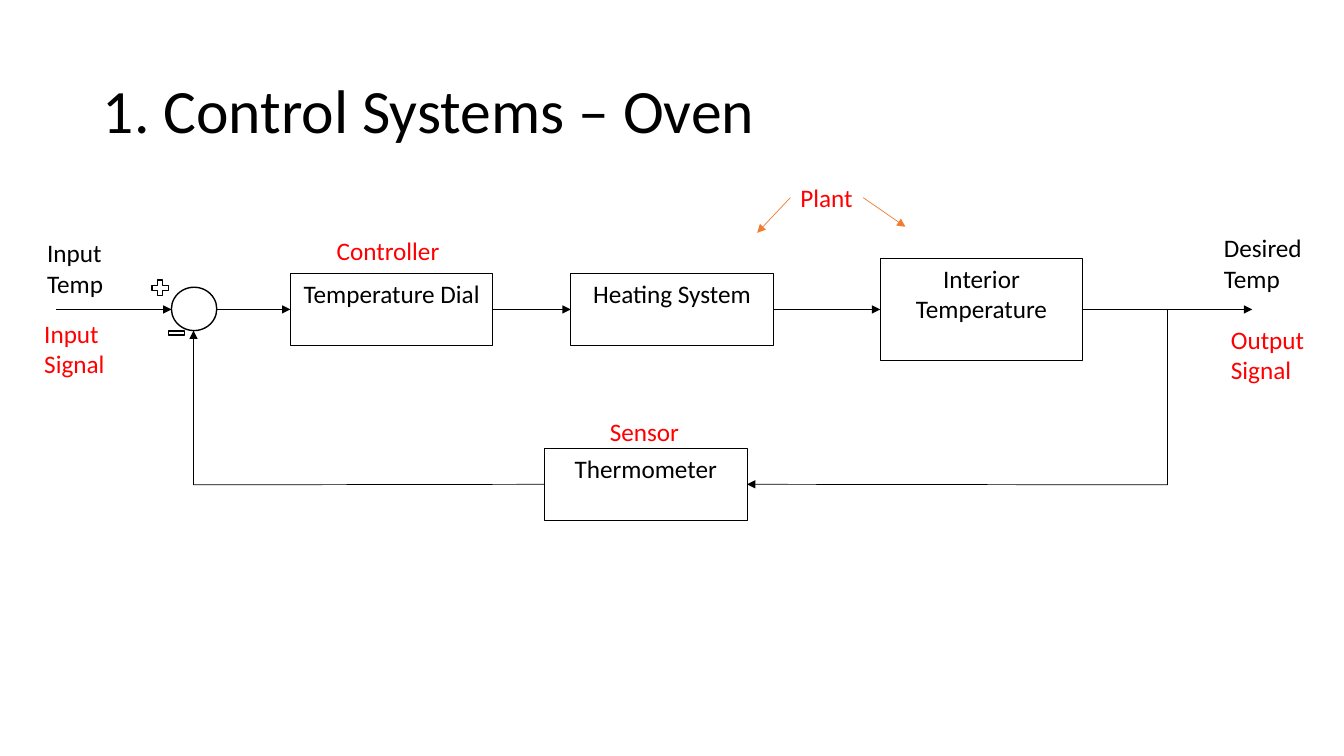
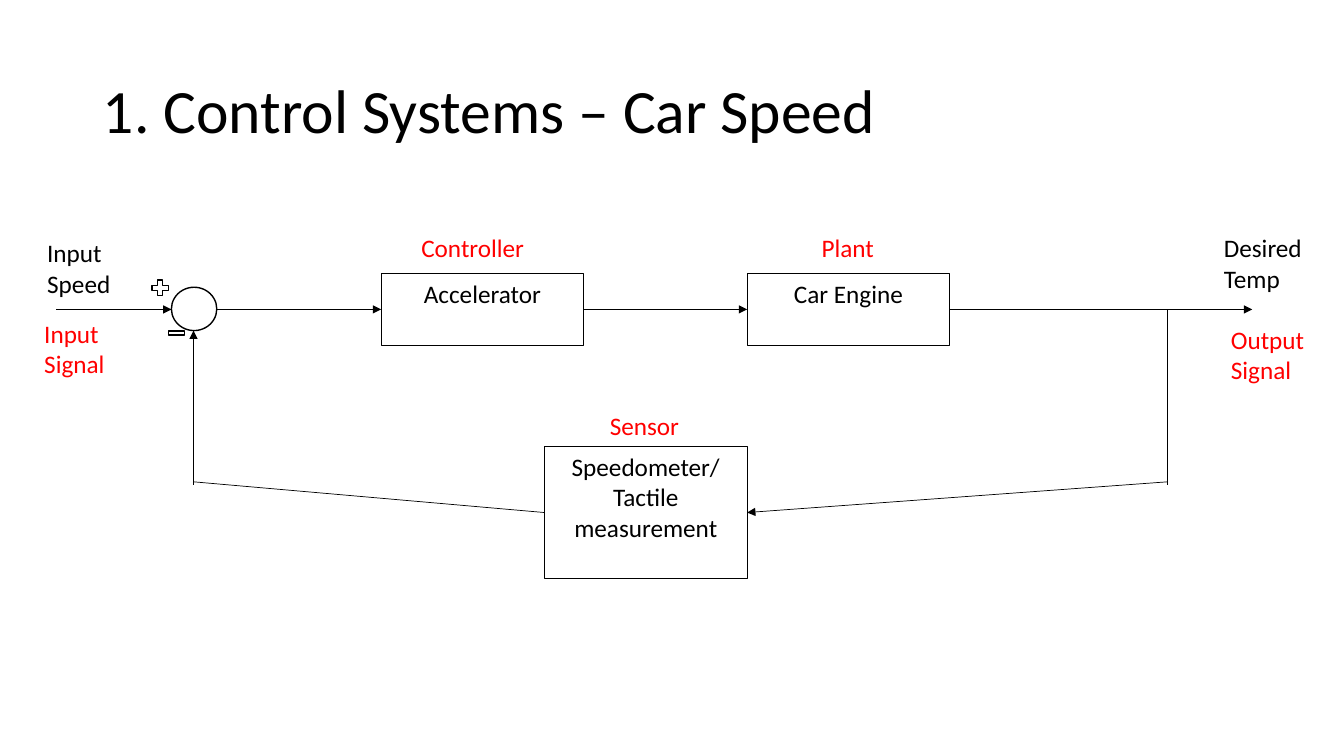
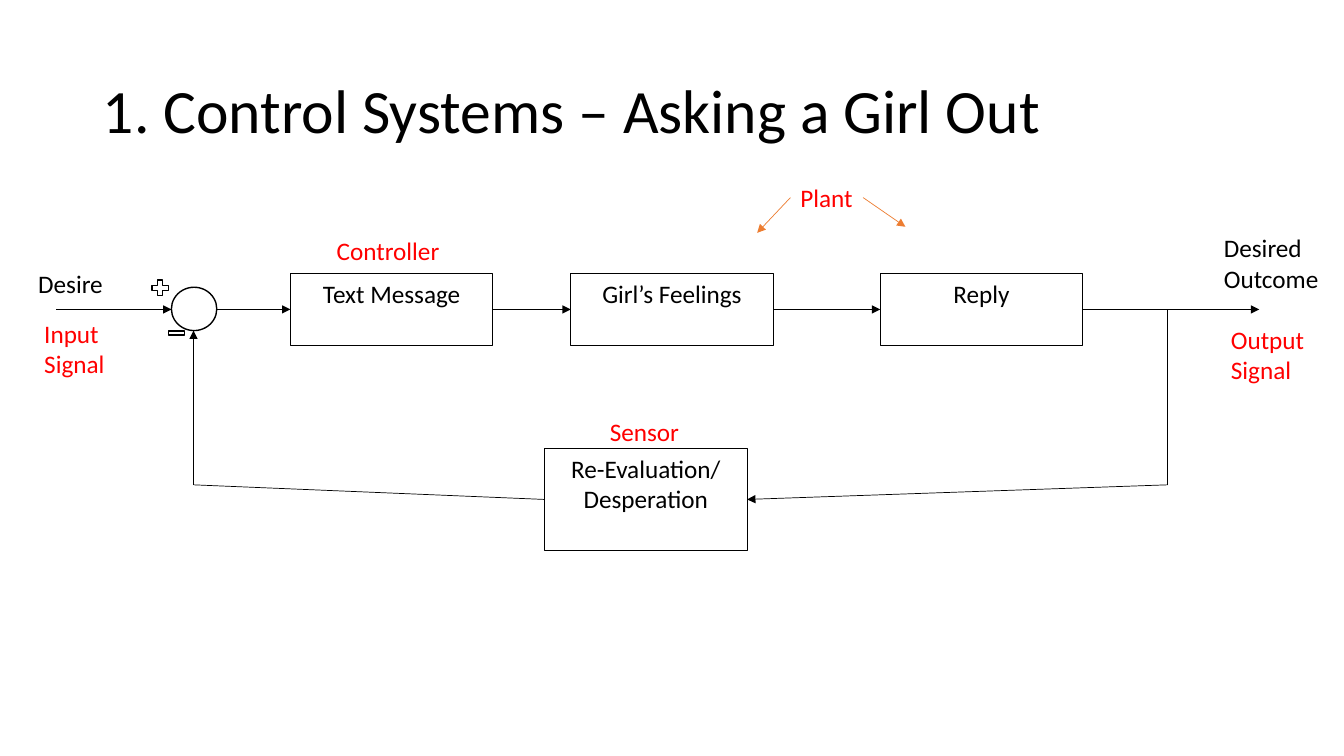
from lxml.etree import SubElement
from pptx import Presentation
from pptx.dml.color import RGBColor
from pptx.enum.shapes import MSO_CONNECTOR, MSO_SHAPE
from pptx.enum.text import MSO_ANCHOR, MSO_AUTO_SIZE, PP_ALIGN
from pptx.oxml.ns import qn
from pptx.util import Inches, Pt

BLACK, WHITE, RED, ORANGE = "000000", "FFFFFF", "FF0000", "ED7D31"

# Shared geometry of the control loop, in inches
SIGNAL_Y = 3.07
BLOCK_WIDTH = 2.01
SENSOR_LEFT = 5.4
SUM_LEFT, SUM_TOP, SUM_WIDTH, SUM_HEIGHT = 1.7, 2.85, 0.45, 0.43
SUM_X = 1.92
BRANCH_X = 11.58
CORNER_Y = 4.81


def color(value):
    return RGBColor.from_string(value)


def style(target, values):
    for name, value in values.items():
        setattr(target, name, value)


def text_height(rows):
    return round(0.1 + 0.303 * rows, 2)


class Diagram:
    """Holds the deck, its style and the current page."""

    title_font = {"name": "Calibri", "size": Pt(44)}
    body_font = {"name": "Calibri", "size": Pt(18)}
    title_place = {"left": Inches(0.92), "top": Inches(0.4),
                   "width": Inches(11.5), "height": Inches(1.45)}
    title_frame = {"word_wrap": True, "auto_size": MSO_AUTO_SIZE.NONE,
                   "vertical_anchor": MSO_ANCHOR.MIDDLE}
    block_frame = {"word_wrap": True, "auto_size": MSO_AUTO_SIZE.NONE,
                   "vertical_anchor": MSO_ANCHOR.TOP}

    def __init__(self):
        self.deck = Presentation()
        style(self.deck, {"slide_width": Inches(13.33), "slide_height": Inches(7.5)})
        self.page = None

    def add_text(self, frame, text, font, ink=BLACK, **layout):
        for index, line in enumerate(text.split("\n")):
            para = frame.paragraphs[0] if index == 0 else frame.add_paragraph()
            style(para, layout)
            span = para.add_run()
            span.text = line
            style(span.font, font)
            span.font.color.rgb = color(ink)

    def new_page(self, title):
        self.page = self.deck.slides.add_slide(self.deck.slide_layouts[5])
        box = self.page.shapes.title
        style(box, self.title_place)
        style(box.text_frame, self.title_frame)
        self.add_text(box.text_frame, title, self.title_font,
                      alignment=PP_ALIGN.LEFT, line_spacing=0.9)

    def shape(self, kind, left, top, width, height, weight=1, fill=WHITE):
        box = self.page.shapes.add_shape(
            kind, Inches(left), Inches(top), Inches(width), Inches(height))
        box.shadow.inherit = False
        if fill:
            box.fill.solid()
            box.fill.fore_color.rgb = color(fill)
        else:
            box.fill.background()
        box.line.color.rgb = color(BLACK)
        box.line.width = Pt(weight)
        return box

    def block(self, text, left, top, height):
        box = self.shape(MSO_SHAPE.RECTANGLE, left, top, BLOCK_WIDTH, height,
                         weight=0.75, fill=None)
        style(box.text_frame, self.block_frame)
        self.add_text(box.text_frame, text, self.body_font, alignment=PP_ALIGN.CENTER)

    def label(self, text, left, top, width, ink=RED, wrap=False):
        height = text_height(len(text.split("\n")))
        box = self.page.shapes.add_textbox(
            Inches(left), Inches(top), Inches(width), Inches(height))
        style(box.text_frame, {"word_wrap": wrap,
                               "auto_size": MSO_AUTO_SIZE.SHAPE_TO_FIT_TEXT})
        self.add_text(box.text_frame, text, self.body_font, ink)

    def line(self, start, end, ink=BLACK, arrow=True):
        points = [Inches(value) for value in (*start, *end)]
        connector = self.page.shapes.add_connector(MSO_CONNECTOR.STRAIGHT, *points)
        connector.line.color.rgb = color(ink)
        connector.line.width = Pt(0.5)
        properties = connector.element.spPr
        if arrow:
            SubElement(properties.find(qn("a:ln")), qn("a:tailEnd"), type="triangle")
        SubElement(properties, qn("a:effectLst"))

    def control_loop(self, blocks, sensor, sensor_top, sensor_rows,
                     corner_y=CORNER_Y, output_end=12.42):
        # Summing point
        self.shape(MSO_SHAPE.OVAL, SUM_LEFT, SUM_TOP, SUM_WIDTH, SUM_HEIGHT)

        # Forward path: blocks are centred on the signal line
        start = SUM_LEFT + SUM_WIDTH
        self.line((0.56, SIGNAL_Y), (SUM_LEFT, SIGNAL_Y))
        for text, left, rows in blocks:
            height = text_height(rows + 1)
            self.block(text, left, SIGNAL_Y - height / 2, height)
            self.line((start, SIGNAL_Y), (left, SIGNAL_Y))
            start = left + BLOCK_WIDTH
        self.line((start, SIGNAL_Y), (output_end, SIGNAL_Y))

        # Feedback path through the sensor
        height = text_height(sensor_rows + 1)
        sensor_y = sensor_top + height / 2
        self.block(sensor, SENSOR_LEFT, sensor_top, height)
        self.line((BRANCH_X, corner_y), (SENSOR_LEFT + BLOCK_WIDTH, sensor_y))
        self.line((BRANCH_X, CORNER_Y), (BRANCH_X, SIGNAL_Y), arrow=False)
        self.line((SENSOR_LEFT, sensor_y), (SUM_X, corner_y), arrow=False)
        self.line((SUM_X, CORNER_Y), (SUM_X, SUM_TOP + SUM_HEIGHT))

        # Signs at the summing point
        self.shape(MSO_SHAPE.MATH_PLUS, 1.48, 2.75, 0.22, 0.21)
        self.shape(MSO_SHAPE.MATH_MINUS, 1.64, 3.22, 0.22, 0.17)

    def roles(self, controller, plant, sensor_top):
        self.label("Input\nSignal", 0.34, 3.11, 0.81)
        self.label("Output\nSignal", 12.11, 3.17, 0.94)
        self.label("Controller", *controller, 1.88, wrap=True)
        self.label("Plant", *plant, 0.73)
        self.label("Sensor", 5.95, sensor_top, 0.9)

    def plant_arrows(self):
        self.line((7.84, 1.96), (7.51, 2.31), ORANGE)
        self.line((8.56, 1.96), (8.98, 2.25), ORANGE)


# Each page: title, loop, input and output labels, role label places
WIDE_ROLES = {"controller": (3.24, 2.29), "plant": (7.84, 1.76), "sensor_top": 4.08}
DESIRED_TEMP = ("Desired\nTemp", 12.04, 2.26, 0.98)
PAGES = [
    {"title": "Oven",
     "loop": {"blocks": [("Temperature Dial", 2.88, 1), ("Heating System", 5.66, 1),
                         ("Interior Temperature", 8.73, 2)],
              "sensor": "Thermometer", "sensor_top": 4.45, "sensor_rows": 1},
     "signals": [("Input\nTemp", 0.37, 2.31, 0.76), DESIRED_TEMP],
     "roles": WIDE_ROLES, "two_plants": True},
    {"title": "Car Speed",
     "loop": {"blocks": [("Accelerator", 3.78, 1), ("Car Engine", 7.41, 1)],
              "sensor": "Speedometer/\nTactile measurement", "sensor_top": 4.43,
              "sensor_rows": 3, "corner_y": 4.78},
     "signals": [("Input\nSpeed", 0.37, 2.31, 0.84), DESIRED_TEMP],
     "roles": {"controller": (4.08, 2.26), "plant": (8.05, 2.26), "sensor_top": 4.02},
     "two_plants": False},
    {"title": "Asking a Girl Out",
     "loop": {"blocks": [("Text Message", 2.88, 1), ("Girl’s Feelings", 5.66, 1),
                         ("Reply", 8.73, 1)],
              "sensor": "Re-Evaluation/\nDesperation", "sensor_top": 4.45,
              "sensor_rows": 2, "output_end": 12.49},
     "signals": [("Desire", 0.28, 2.61, 0.85), ("Desired\nOutcome", 12.04, 2.26, 1.15)],
     "roles": WIDE_ROLES, "two_plants": True},
]


def main():
    diagram = Diagram()
    for page in PAGES:
        diagram.new_page(f"1. Control Systems – {page['title']}")
        diagram.control_loop(**page["loop"])
        for signal in page["signals"]:
            diagram.label(*signal, ink=BLACK)
        diagram.roles(**page["roles"])
        if page["two_plants"]:
            diagram.plant_arrows()
    diagram.deck.save("out.pptx")


if __name__ == "__main__":
    main()
